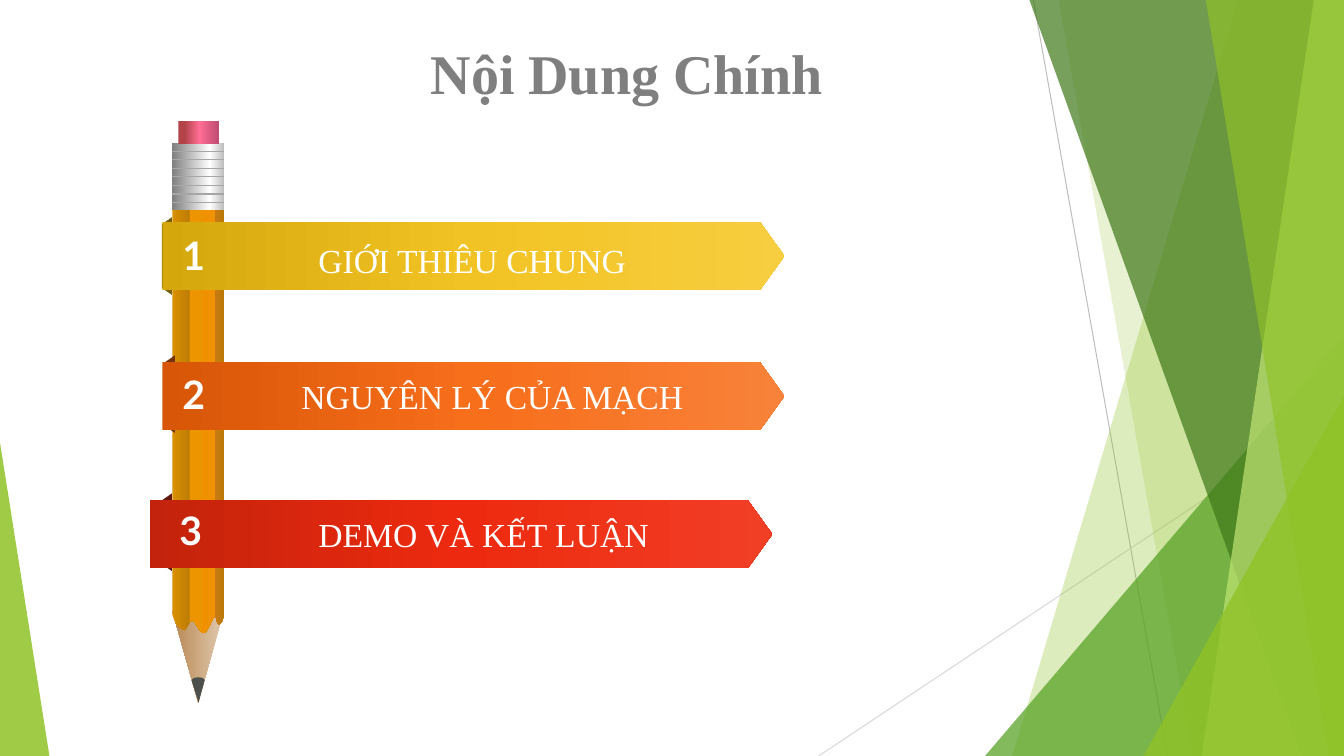
from lxml.etree import SubElement
from pptx import Presentation
from pptx.dml.color import RGBColor
from pptx.enum.shapes import MSO_CONNECTOR, MSO_SHAPE
from pptx.enum.text import MSO_ANCHOR, MSO_AUTO_SIZE, PP_ALIGN
from pptx.oxml.ns import qn
from pptx.util import Inches, Pt

WIDTH, HEIGHT = 13.33, 7.5
SERIF, SANS = "Times New Roman", "Lato"
GREEN = "90C226"


def rgb(color):
    return RGBColor.from_string(color)


def curve(start, *segments, steps=8):
    """Return points along joined cubic Béziers; a segment is two handles and an end."""
    points = [start]
    for c1, c2, end in segments:
        p0 = points[-1]
        for i in range(1, steps + 1):
            t = i / steps
            u = 1 - t
            points.append(tuple(u**3 * a + 3 * u * u * t * b + 3 * u * t * t * c + t**3 * d
                                for a, b, c, d in zip(p0, c1, c2, end)))
    return points


def write(sp, text, size, color, font=SERIF, bold=False, align=PP_ALIGN.LEFT,
          anchor=MSO_ANCHOR.TOP):
    tf = sp.text_frame
    tf.word_wrap = False
    tf.auto_size = MSO_AUTO_SIZE.SHAPE_TO_FIT_TEXT
    tf.vertical_anchor = anchor
    p = tf.paragraphs[0]
    p.alignment = align
    r = p.add_run()
    r.text = text
    r.font.size, r.font.name, r.font.bold = Pt(size), font, bold
    r.font.color.rgb = rgb(color)


class SlideBuilder:
    def __init__(self, prs):
        self.s = prs.slides.add_slide(prs.slide_layouts[5])

    def title(self, text, x, y, w, h, **style):
        sp = self.s.shapes.title
        sp.left, sp.top, sp.width, sp.height = map(Inches, (x, y, w, h))
        write(sp, text, **style)

    def text(self, text, x, y, w, h, **style):
        write(self.s.shapes.add_textbox(*map(Inches, (x, y, w, h))), text, **style)

    def paint(self, sp, fill, alpha=100, angle=0):
        """Fill with a hex colour, or with a list of (percent, hex) gradient stops."""
        sp.shadow.inherit = False
        sp.line.fill.background()
        if isinstance(fill, str):
            sp.fill.solid()
            sp.fill.fore_color.rgb = rgb(fill)
            if alpha < 100:
                clr = sp._element.spPr.find(".//" + qn("a:srgbClr"))
                SubElement(clr, qn("a:alpha")).set("val", str(alpha * 1000))
            return sp
        sp.fill.gradient()
        sp.fill.gradient_angle = (360 - angle) % 360
        stops = sp._element.spPr.find(".//" + qn("a:gsLst"))
        for old in list(stops):
            stops.remove(old)
        for percent, color in fill:
            gs = SubElement(stops, qn("a:gs"))
            gs.set("pos", str(percent * 1000))
            SubElement(gs, qn("a:srgbClr")).set("val", color)
        return sp

    def shape(self, kind, x, y, w, h, fill, adj=None, rotation=0, **paint):
        sp = self.s.shapes.add_shape(kind, *map(Inches, (x, y, w, h)))
        if adj is not None:
            sp.adjustments[0] = adj
        sp.rotation = rotation
        return self.paint(sp, fill, **paint)

    def polygon(self, points, fill, **paint):
        start, *rest = [(Inches(x), Inches(y)) for x, y in points]
        builder = self.s.shapes.build_freeform(*start)
        builder.add_line_segments(rest)
        return self.paint(builder.convert_to_shape(), fill, **paint)

    def line(self, x1, y1, x2, y2, color, width):
        cx = self.s.shapes.add_connector(MSO_CONNECTOR.STRAIGHT, *map(Inches, (x1, y1, x2, y2)))
        cx.line.color.rgb = rgb(color)
        cx.line.width = Pt(width)
        SubElement(cx._element.spPr, qn("a:effectLst"))
        return cx


def draw_backdrop(b):
    b.line(10.25, 0, 11.58, HEIGHT, "BFBFBF", 0.75)
    b.line(WIDTH, 4.03, 8.12, HEIGHT, "D9D9D9", 0.75)

    def band(top, bottom, color, alpha):
        """Draw a band from a slanted left edge to the right side of the slide."""
        b.polygon([(top, 0), (WIDTH, 0), (WIDTH, HEIGHT), (bottom, HEIGHT)], color, alpha=alpha)

    def corner(x, y, w, apex, color, alpha):
        b.shape(MSO_SHAPE.ISOSCELES_TRIANGLE, x, y, w, HEIGHT - y, color, adj=apex, alpha=alpha)

    band(12.28, 10.04, GREEN, 30)
    band(10.5, 11.83, GREEN, 20)
    corner(9.77, 3.33, 3.56, 1, "54A021", 72)
    band(10.21, 12.91, "3F7819", 70)
    band(13.03, 11.92, "C0E474", 70)
    band(11.96, 13.18, GREEN, 65)
    corner(11.34, 3.93, 1.99, 1, GREEN, 80)
    corner(0, 4.39, 0.49, 0, GREEN, 85)


def draw_pencil(b):
    left, right = 1.71, 2.22
    b.shape(MSO_SHAPE.PENTAGON, 1.51, 6.26, 0.91, 0.51, [(0, "E1C9AF"), (100, "B88954")],
            adj=1.78, rotation=90, angle=90)
    wavy_edge = curve(
        (right, 6.07),
        ((2.22, 6.15), (2.19, 6.19), (2.17, 6.2)),
        ((2.14, 6.17), (2.15, 6.11), (2.13, 6.12)),
        ((2.1, 6.14), (2.06, 6.28), (2.02, 6.28)),
        ((1.98, 6.29), (1.94, 6.16), (1.91, 6.16)),
        ((1.87, 6.15), (1.85, 6.27), (1.82, 6.25)),
        ((1.76, 6.23), (1.73, 6.16), (left, 6.1)))
    b.polygon([(left, 2.08), (right, 2.08)] + wavy_edge,
              [(0, "D99100"), (33, "BD7C04"), (34, "ED9501"),
               (82, "EF9100"), (83, "C87B14"), (100, "BC7908")])
    ferrule = b.shape(MSO_SHAPE.RECTANGLE, left, 1.42, right - left, 0.66,
                      [(0, "BFBFBF"), (27, "FFFFFF"), (100, "808080")], angle=180)
    b.shape(MSO_SHAPE.RECTANGLE, 1.77, 1.2, 0.4, 0.23,
            [(16, "B24349"), (52, "FF6E94"), (100, "BF4C73")])
    lead_top = curve((1.9, 6.75), ((1.91, 6.73), (1.93, 6.72), (1.97, 6.72)),
                     ((2, 6.72), (2.03, 6.73), (2.03, 6.75)))
    b.polygon(lead_top + [(1.97, 6.97)], "4C504C")
    for i in range(7):
        y = 1.5 + i * 0.085
        groove = b.line(left, y, right, y, "A6A6A6", 1)
        if i == 3:
            groove.begin_connect(ferrule, 1)
            groove.end_connect(ferrule, 3)


def draw_ribbons(b):
    # fold (x, y, colour), ribbon (x, y, stops), number (x, y), label (text, x, y, w)
    ribbons = [
        ((1.27, 2.49, "755E0D"), (1.61, 2.2, ("D4A70D", "F2C324", "F7CE3F")),
         (1.71, 2.25), ("GIỚI THIÊU CHUNG", 3.06, 2.33, 3.28)),
        ((1.3, 3.86, "74330C"), (1.61, 3.59, ("D75607", "F76E1B", "F8823A")),
         (1.71, 3.62), ("NGUYÊN LÝ CỦA MẠCH", 2.89, 3.68, 4.12)),
        ((1.27, 5.23, "62170D"), (1.49, 4.96, ("C3230C", "ED2A0F", "F13F26")),
         (1.68, 4.97), ("DEMO VÀ KẾT LUẬN", 3.06, 5.05, 3.51)),
    ]
    for number, (fold, ribbon, digit, label) in enumerate(ribbons, 1):
        x, y, color = fold
        b.shape(MSO_SHAPE.TRAPEZOID, x, y, 0.77, 0.1, color, adj=0.7, rotation=270)
        x, y, colors = ribbon
        b.shape(MSO_SHAPE.PENTAGON, x, y, 6.17, 0.68, list(zip((0, 50, 100), colors)), adj=0.36)
        b.text(str(number), *digit, 0.68, 0.58, size=28, color="FFFFFF", font=SANS, bold=True)
        text, x, y, w = label
        b.text(text, x, y, w, 0.5, size=24, color="FFFFFF")


def main():
    prs = Presentation()
    prs.slide_width, prs.slide_height = Inches(WIDTH), Inches(HEIGHT)
    b = SlideBuilder(prs)
    draw_backdrop(b)
    b.title("Nội Dung Chính", 4.15, 0.33, 4.13, 0.77, size=40, color="7F7F7F", bold=True,
            align=PP_ALIGN.CENTER, anchor=MSO_ANCHOR.MIDDLE)
    draw_pencil(b)
    draw_ribbons(b)
    prs.save("out.pptx")


if __name__ == "__main__":
    main()
